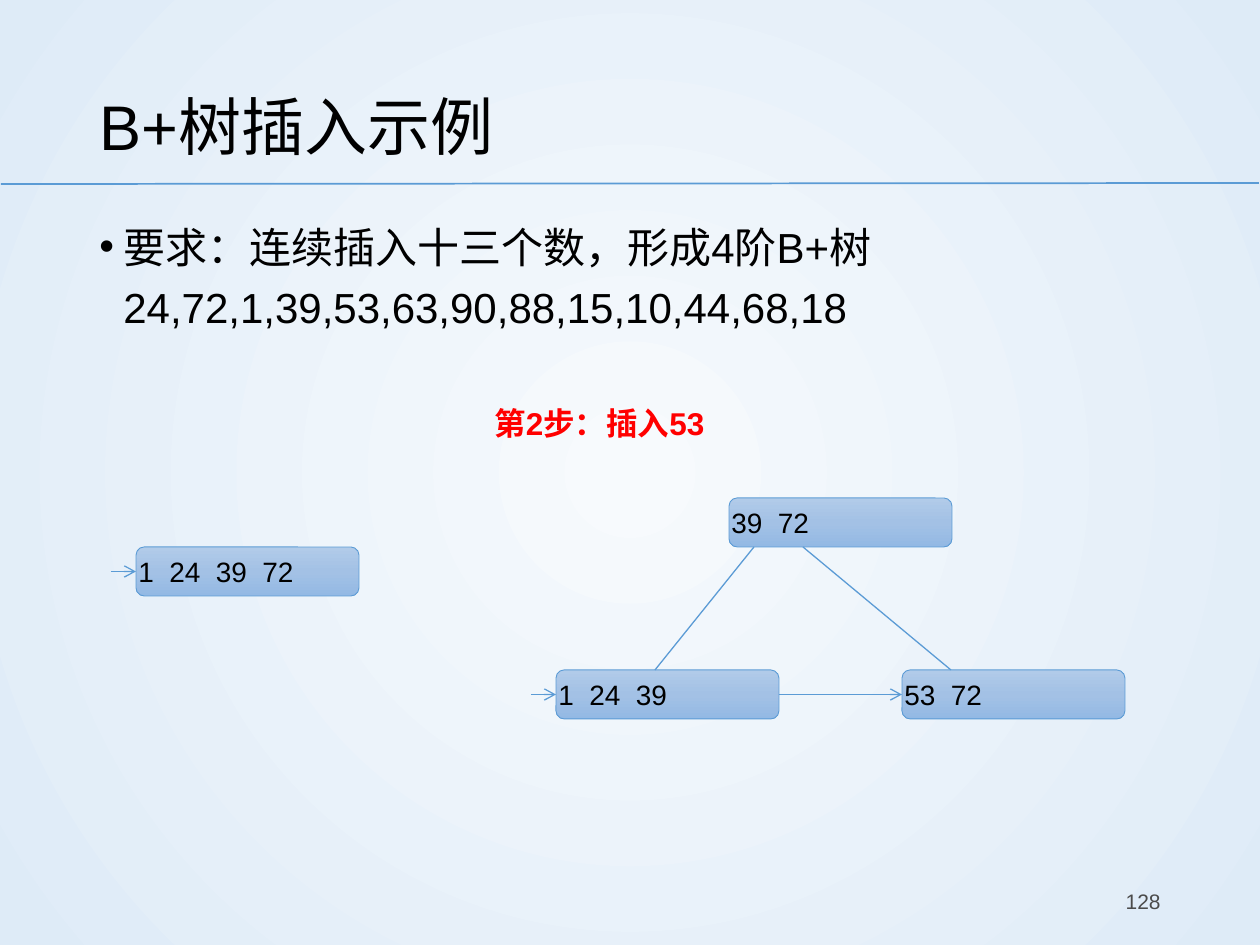
"""Builds the slide showing step 2 of the B+ tree insertion example."""
from dataclasses import dataclass

from lxml import etree
from pptx import Presentation
from pptx.dml.color import RGBColor
from pptx.enum.shapes import MSO_CONNECTOR, MSO_SHAPE
from pptx.enum.text import MSO_ANCHOR, PP_ALIGN
from pptx.oxml.ns import qn
from pptx.util import Emu, Pt

STRAIGHT = MSO_CONNECTOR.STRAIGHT
ROUNDED = MSO_SHAPE.ROUNDED_RECTANGLE
TOP, MIDDLE = MSO_ANCHOR.TOP, MSO_ANCHOR.MIDDLE
LEFT, RIGHT = PP_ALIGN.LEFT, PP_ALIGN.RIGHT
LEFT_SIDE, RIGHT_SIDE = 1, 3
EMU_PER_PX = 914400 / 126
NODE_WIDTH, NODE_HEIGHT, ENTRY_LENGTH = 223, 49, 25


@dataclass(frozen=True)
class Theme:
    font: str = "Arial"
    ink: str = "000000"
    accent: str = "FF0000"
    muted: str = "4B4B4B"
    line: str = "5B9BD5"
    backdrop: tuple = ((0, "F7FAFD"), (100, "DEEBF7"))
    node: tuple = ((0, "B1CBE9"), (50, "A3C1E5"), (100, "93B9E4"))
    title_size: int = 36
    body_size: int = 24
    step_size: int = 18
    key_size: int = 16
    number_size: int = 12


def px(length):
    return Emu(round(length * EMU_PER_PX))


def set_gradient(parent, stops, radial=False):
    gradient = parent.find(".//" + qn("a:gradFill"))
    for child in list(gradient):
        gradient.remove(child)
    stop_list = etree.SubElement(gradient, qn("a:gsLst"))
    for percent, color in stops:
        stop = etree.SubElement(stop_list, qn("a:gs"), pos=str(percent * 1000))
        etree.SubElement(stop, qn("a:srgbClr"), val=color)
    if radial:
        circle = etree.SubElement(gradient, qn("a:path"), {"path": "circle"})
        etree.SubElement(circle, qn("a:fillToRect"), dict.fromkeys("ltrb", "50000"))
    else:
        etree.SubElement(gradient, qn("a:lin"), ang="5400000", scaled="0")


def write(frame, text, *, font, size, color, bold=False, align=LEFT, anchor=TOP,
          spacing=None, bullet=None, indent=0):
    frame.word_wrap = True
    frame.vertical_anchor = anchor
    paragraph = frame.paragraphs[0]
    paragraph.text = text
    paragraph.alignment = align
    if spacing:
        paragraph.line_spacing = spacing
    if bullet:
        properties = paragraph._p.get_or_add_pPr()
        properties.set("marL", str(px(indent)))
        properties.set("indent", str(-px(indent)))
        etree.SubElement(properties, qn("a:buFont"), typeface=font)
        etree.SubElement(properties, qn("a:buChar"), char=bullet)
    style = paragraph.runs[0].font
    style.name, style.size, style.bold = font, Pt(size), bold
    style.color.rgb = RGBColor.from_string(color)


class TreeSlide:
    def __init__(self, slide, theme):
        self.slide, self.theme = slide, theme
        slide.background.fill.gradient()
        set_gradient(slide.element, theme.backdrop, radial=True)

    def text(self, box, text, size, color=None, **style):
        holder = self.slide.shapes.add_textbox(*map(px, box))
        write(holder.text_frame, text, font=self.theme.font, size=size,
              color=color or self.theme.ink, **style)

    def node(self, left, top, keys):
        node = self.slide.shapes.add_shape(
            ROUNDED, px(left), px(top), px(NODE_WIDTH), px(NODE_HEIGHT))
        node.shadow.inherit = False
        node.fill.gradient()
        set_gradient(node.element, self.theme.node)
        node.line.color.rgb = RGBColor.from_string(self.theme.line)
        node.line.width = Pt(0.5)
        frame = node.text_frame
        frame.margin_left = frame.margin_top = frame.margin_bottom = 0
        frame.margin_right = px(25)
        write(frame, keys, font=self.theme.font, size=self.theme.key_size,
              color=self.theme.ink, anchor=MIDDLE)
        return node

    def line(self, start, end, width=0.75, arrow=False):
        line = self.slide.shapes.add_connector(STRAIGHT, *map(px, start + end))
        line.line.color.rgb = RGBColor.from_string(self.theme.line)
        line.line.width = Pt(width)
        if arrow:
            etree.SubElement(line.line._get_or_add_ln(), qn("a:tailEnd"), type="arrow")
        etree.SubElement(line.element.spPr, qn("a:effectLst"))
        return line

    def entry(self, node, left, top):
        middle = top + NODE_HEIGHT / 2
        arrow = self.line((left - ENTRY_LENGTH, middle), (left, middle), arrow=True)
        arrow.end_connect(node, LEFT_SIDE)

    def link(self, source, target):
        arrow = self.line((0, 0), (0, 0), arrow=True)
        arrow.begin_connect(source, RIGHT_SIDE)
        arrow.end_connect(target, LEFT_SIDE)


def main():
    deck = Presentation()
    deck.slide_width, deck.slide_height = px(1260), px(945)
    theme = Theme()
    page = TreeSlide(deck.slides.add_slide(deck.slide_layouts[6]), theme)

    page.line((1, 184), (1259, 183), width=1)
    page.text((87, 50, 1086, 136), "B+树插入示例", theme.title_size,
              anchor=MIDDLE, spacing=1.2)
    page.text((87, 205, 1086, 646),
              "要求：连续插入十三个数，形成4阶B+树24,72,1,39,53,63,90,88,15,10,44,68,18",
              theme.body_size, spacing=1.2, bullet="•", indent=24)
    page.text((890, 876, 283, 50), "128", theme.number_size, theme.muted,
              align=RIGHT, anchor=MIDDLE)
    page.text((482, 398, 470, 50), "第2步：插入53", theme.step_size, theme.accent,
              bold=True)

    before_at, root_at = (136, 547), (729, 498)
    left_at, right_at = (556, 670), (902, 670)
    before = page.node(*before_at, "1  24  39  72")
    left_leaf = page.node(*left_at, "1  24  39")
    right_leaf = page.node(*right_at, "53  72")
    page.node(*root_at, "39  72")

    page.entry(before, *before_at)
    page.entry(left_leaf, *left_at)
    page.link(left_leaf, right_leaf)
    root_bottom = root_at[1] + NODE_HEIGHT
    page.line((754, root_bottom), (655, left_at[1]))
    page.line((803, root_bottom), (951, right_at[1]))

    deck.save("out.pptx")


if __name__ == "__main__":
    main()
